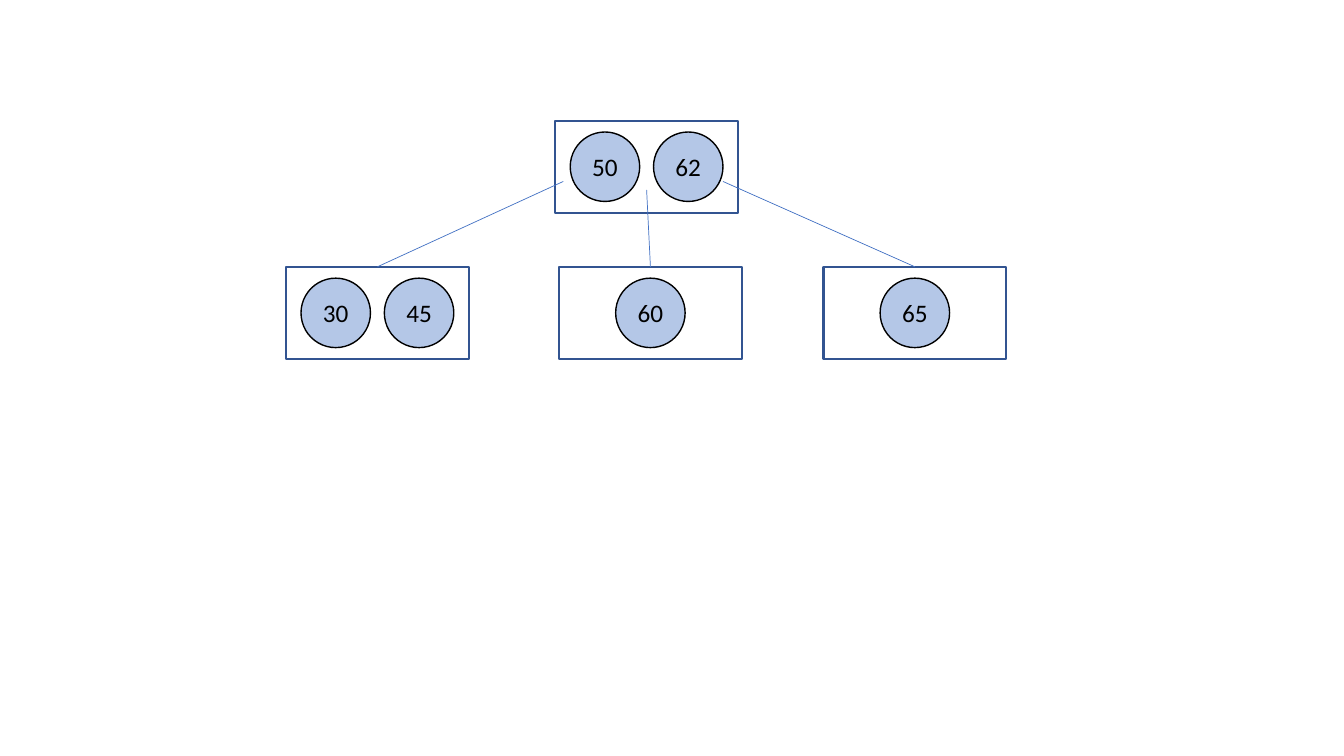
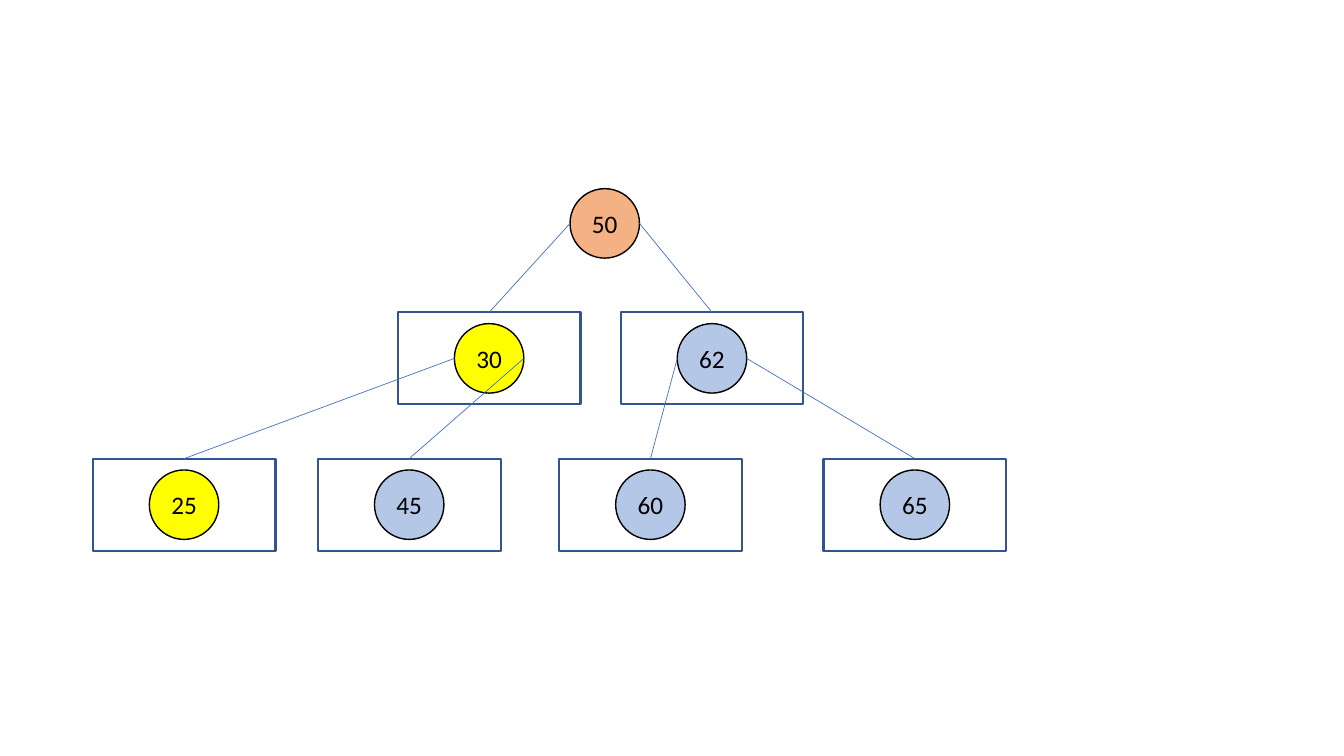
"""Two slides of search trees: a root with two keys, then the same tree split around key 50."""
from dataclasses import dataclass

import pptx
import pptx.dml.color
import pptx.enum.shapes
import pptx.enum.text
import pptx.oxml.xmlchemy
import pptx.util
from lxml import etree
from pptx.oxml import ns

Pt = pptx.util.Pt
SHAPES = pptx.enum.shapes.MSO_SHAPE


@dataclass(frozen=True)
class Theme:
    font: str = "Calibri"
    key_size: float = 18
    text: str = "000000"
    key: str = "B4C7E7"
    visited: str = "FFFF00"
    promoted: str = "F4B183"
    box_line: str = "325491"
    link: str = "4472C4"
    box_weight: float = 1.5
    key_weight: float = 1
    link_weight: float = 0.5


THEME = Theme()
SLIDE_W, SLIDE_H = 960, 540
BOX_W, BOX_H = 130.6, 65.8
KEY_D, KEY_PITCH = 49.6, 59.5
LEFT, RIGHT = (-KEY_D / 2, 0), (KEY_D / 2, 0)

TREES = [
    {
        "nodes": {
            "root": (461.9, 119.1, ["50", "62"]),
            "low": (269.6, 223.5, ["30", "45"]),
            "middle": (464.6, 223.5, ["60"]),
            "high": (653.5, 223.5, ["65"]),
        },
        "links": [
            ("root", (-59.5, 10.5), "low"),
            ("root", (0, 16.5), "middle"),
            ("root", (54.5, 10.5), "high"),
        ],
        "unboxed": [],
        "fills": {},
    },
    {
        "nodes": {
            "root": (432, 159.6, ["50"]),
            "low": (349.4, 256, ["30"]),
            "high": (508.6, 256, ["62"]),
            "leaf 25": (131.5, 360.5, ["25"]),
            "leaf 45": (292.3, 360.5, ["45"]),
            "leaf 60": (464.6, 360.5, ["60"]),
            "leaf 65": (653.5, 360.5, ["65"]),
        },
        "links": [
            ("root", LEFT, "low"),
            ("root", RIGHT, "high"),
            ("low", LEFT, "leaf 25"),
            ("low", RIGHT, "leaf 45"),
            ("high", LEFT, "leaf 60"),
            ("high", RIGHT, "leaf 65"),
        ],
        "unboxed": ["root"],
        "fills": {"50": THEME.promoted, "30": THEME.visited, "25": THEME.visited},
    },
]


def rgb(value):
    return pptx.dml.color.RGBColor.from_string(value)


def set_line(line, color, weight):
    line.color.rgb = rgb(color)
    line.width = Pt(weight)


def add_centred(slide, kind, cx, cy, width, height):
    shape = slide.shapes.add_shape(
        kind, Pt(cx - width / 2), Pt(cy - height / 2), Pt(width), Pt(height))
    shape.shadow.inherit = False
    return shape


def add_box(slide, cx, cy):
    box = add_centred(slide, SHAPES.RECTANGLE, cx, cy, BOX_W, BOX_H)
    box.fill.background()
    set_line(box.line, THEME.box_line, THEME.box_weight)
    return box


def add_key(slide, cx, cy, label, fill):
    key = add_centred(slide, SHAPES.OVAL, cx, cy, KEY_D, KEY_D)
    key.fill.solid()
    key.fill.fore_color.rgb = rgb(fill)
    set_line(key.line, THEME.text, THEME.key_weight)
    frame = key.text_frame
    frame.margin_left = frame.margin_right = 0
    frame.vertical_anchor = pptx.enum.text.MSO_ANCHOR.MIDDLE
    frame.text = label
    paragraph = frame.paragraphs[0]
    paragraph.alignment = pptx.enum.text.PP_ALIGN.CENTER
    font = paragraph.runs[0].font
    font.name, font.size = THEME.font, Pt(THEME.key_size)
    font.color.rgb = rgb(THEME.text)


def add_link(slide, x, y, child_box):
    link = slide.shapes.add_connector(
        pptx.enum.shapes.MSO_CONNECTOR.STRAIGHT, Pt(x), Pt(y), Pt(x), Pt(y))
    link.end_connect(child_box, 0)
    set_line(link.line, THEME.link, THEME.link_weight)
    etree.SubElement(link._element.spPr, ns.qn("a:effectLst"))


def draw_tree(slide, tree):
    boxes = {}
    for name, (cx, cy, labels) in tree["nodes"].items():
        if name not in tree["unboxed"]:
            boxes[name] = add_box(slide, cx, cy)
        first = cx - KEY_PITCH * (len(labels) - 1) / 2
        for i, label in enumerate(labels):
            fill = tree["fills"].get(label, THEME.key)
            add_key(slide, first + i * KEY_PITCH, cy, label, fill)
    for parent, (dx, dy), child in tree["links"]:
        cx, cy, _ = tree["nodes"][parent]
        add_link(slide, cx + dx, cy + dy, boxes[child])


def main():
    deck = pptx.Presentation()
    deck.slide_width, deck.slide_height = Pt(SLIDE_W), Pt(SLIDE_H)
    for tree in TREES:
        draw_tree(deck.slides.add_slide(deck.slide_layouts[6]), tree)
    deck.save("out.pptx")


if __name__ == "__main__":
    main()
